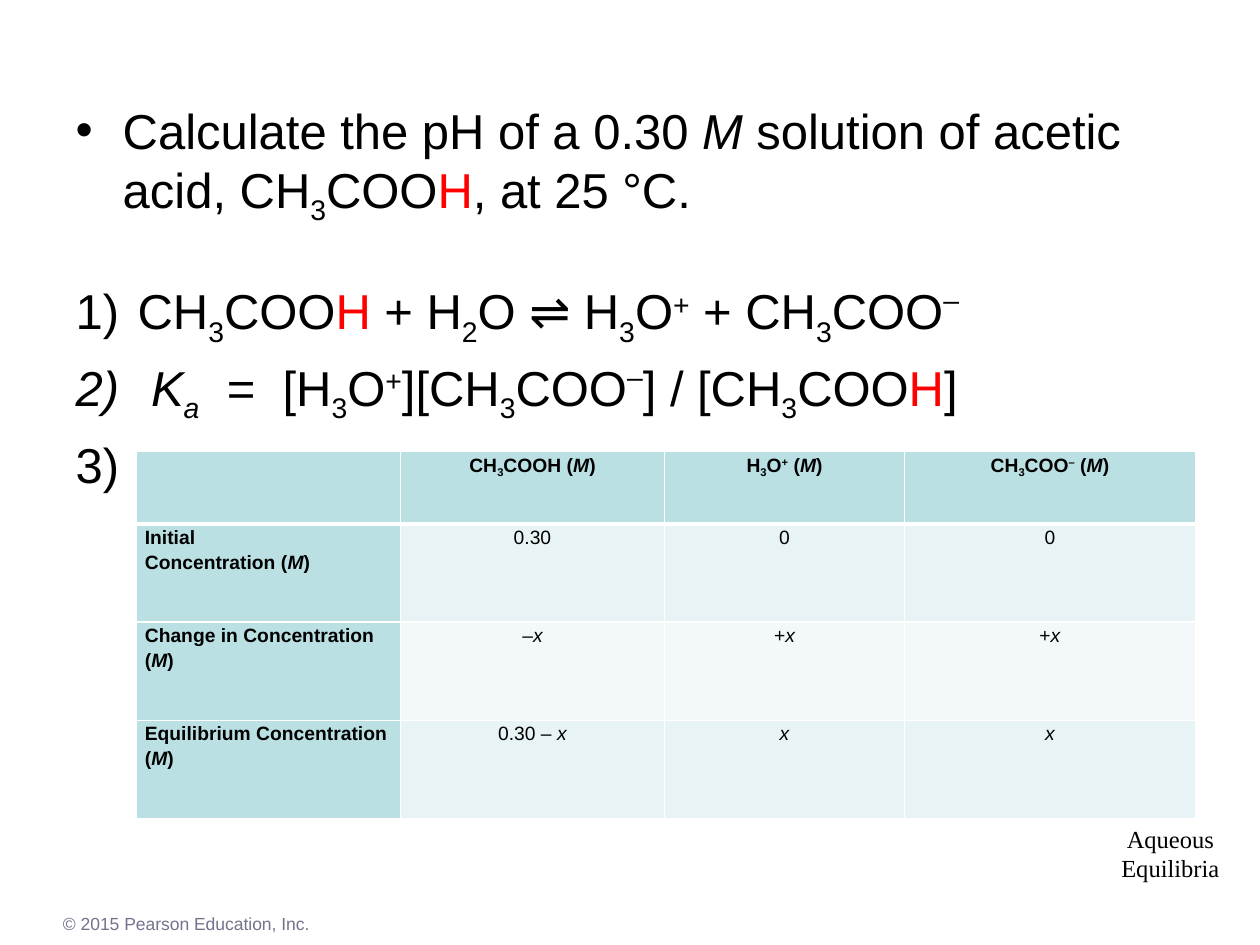
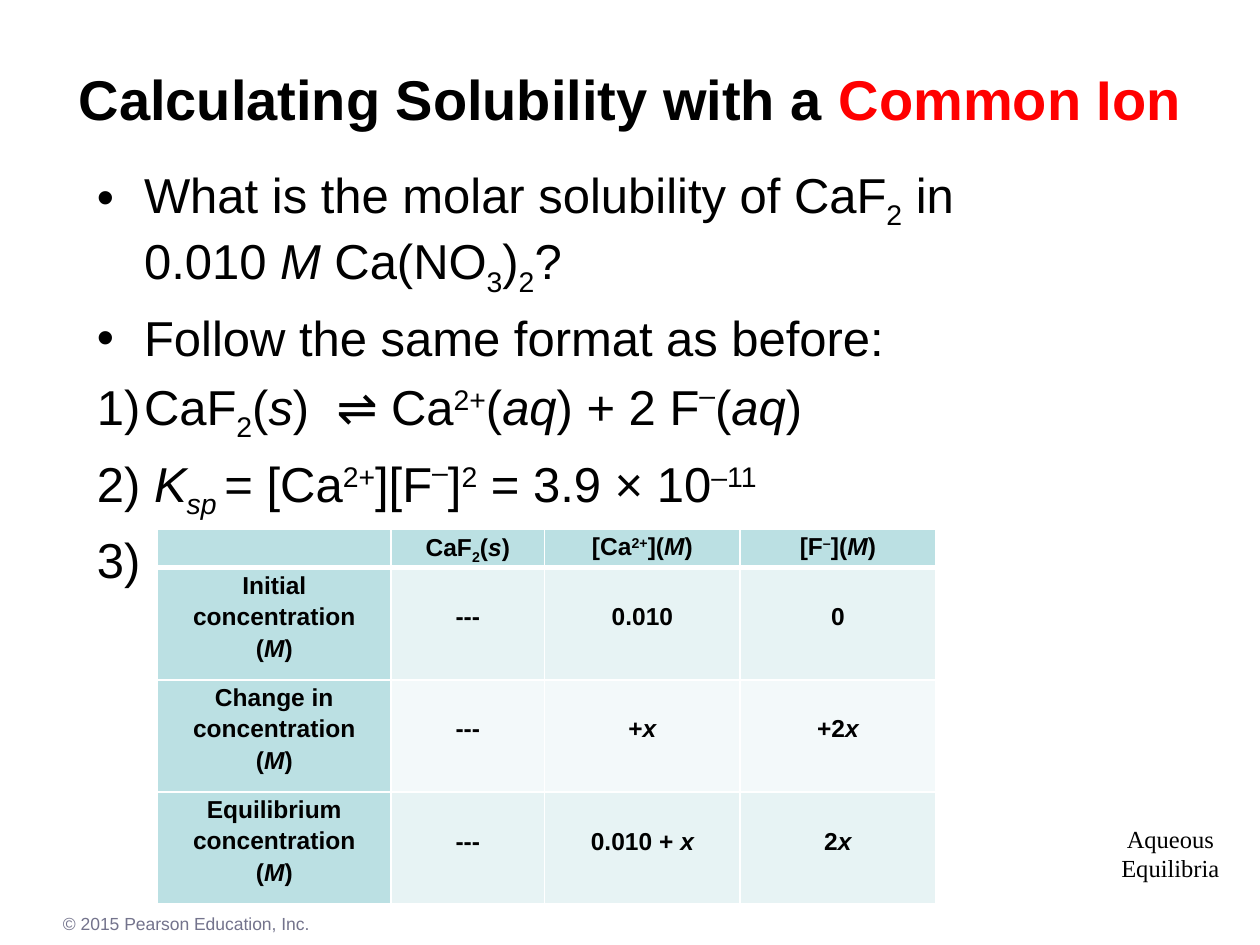
"""Build two chemistry slides on acid equilibrium and the common-ion effect."""
from dataclasses import dataclass
from typing import Optional

from lxml import etree
from pptx import Presentation
from pptx import util as u
from pptx.dml.color import RGBColor
from pptx.enum import text
from pptx.oxml.ns import qn

BLACK, RED, WHITE, GREY = "000000", "FF0000", "FFFFFF", "73738C"
HEADER, BAND, PALE = "BBE0E3", "E7F3F4", "F3F9FA"
SANS, SERIF = "Arial", "Times New Roman"
BASELINES = {"~": -25, "^": 30, "|": 40}
WIDE_SPACE = "_"
CENTER, LEFT = text.PP_ALIGN.CENTER, text.PP_ALIGN.LEFT


@dataclass(frozen=True)
class Style:
    size: float
    font: str = SANS
    color: str = BLACK
    bold: bool = False


@dataclass(frozen=True)
class Box:
    left: float
    top: float
    width: float
    height: float

    def lengths(self) -> tuple:
        return tuple(u.Cm(n) for n in (self.left, self.top, self.width, self.height))


@dataclass(frozen=True)
class Item:
    words: str
    bullet: str = ""
    indent: float = 0
    before: float = 5.6


@dataclass(frozen=True)
class Grid:
    left: float
    top: float
    columns: list
    header_height: float
    row_height: float
    label: Style
    value: Style
    label_align: text.PP_ALIGN
    value_top: float
    rows: list


@dataclass(frozen=True)
class Page:
    title: Optional[str]
    body: Box
    items: list
    grid: Grid


TITLE = Style(32, bold=True)
BODY = Style(28)
TITLE_BOX = Box(0, 0.08, 25.4, 3.81)
BULLET, NUMBER = "•", "arabicParenR"

PAGES = [
    Page(
        None,
        Box(1.27, 1.9, 21.59, 6.99),
        [
            Item("Calculate the pH of a 0.30 *M* solution of acetic acid, CH~3~COO!H!, at 25 °C.",
                 BULLET, 0.95, 0),
            Item("CH~3~COO!H !+ H~2~O ⇌ H~3~O^+^ + CH~3~COO|–|", NUMBER, 1.25, 31.2),
            Item("*K~a~*_=_[H~3~O^+^][CH~3~COO|–|] / [CH~3~COO!H!]", NUMBER, 1.52),
            Item("3)"),
        ],
        Grid(2.74, 9.09, [5.33, 5.33, 4.83, 5.87], 1.47, 1.98,
             Style(11, bold=True), Style(11), LEFT, 0, [
                 ["", "CH~3~COOH (*M*)", "H~3~O^+^ (*M*)", "CH~3~COO^–^ (*M*)"],
                 ["Initial\nConcentration (*M*)", "0.30", "0", "0"],
                 ["Change in Concentration (*M*)", "–*x*", "+*x*", "+*x*"],
                 ["Equilibrium Concentration (*M*)", "0.30 – *x*", "*x*", "*x*"],
             ]),
    ),
    Page(
        "Calculating Solubility with a !Common Ion!",
        Box(1.7, 3.18, 21.39, 12.06),
        [
            Item("What is the molar solubility of CaF~2~ in\v0.010 *M* Ca(NO~3~)~2~?",
                 BULLET, 0.95, 0),
            Item("Follow the same format as before:", BULLET, 0.95),
            Item("CaF~2~(*s*)_⇌ Ca^2+^(*aq*) + 2 F|–|(*aq*)", NUMBER, 0.95),
            Item("2) *K~sp ~*= [Ca^2+^][F|–|]^2^ = 3.9 × 10^–11^"),
            Item("3)"),
        ],
        Grid(3.18, 10.67, [4.7, 3.1, 3.94, 3.94], 0.76, 2.26,
             Style(14, bold=True), Style(14, bold=True), CENTER, 0.64, [
                 ["", "CaF~2~(*s*)", "[Ca^2+^](*M*)", "[F^–^](*M*)"],
                 ["Initial concentration\n(*M*)", "---", "0.010", "0"],
                 ["Change in concentration\n(*M*)", "---", "+*x*", "+2*x*"],
                 ["Equilibrium concentration\n(*M*)", "---", "0.010 + *x*", "2*x*"],
             ]),
    ),
]


def rgb(value: str) -> RGBColor:
    """Turn a hex string into a colour."""
    return RGBColor.from_string(value)


def add_run(paragraph, words: str, style: Style, active: set, spacing: float = 0) -> None:
    """Add one run, formatted by the marks that are active."""
    if not words:
        return
    run = paragraph.add_run()
    run.text = words
    run.font.name, run.font.size, run.font.bold = style.font, u.Pt(style.size), style.bold
    run.font.italic = "*" in active
    run.font.color.rgb = rgb(RED if "!" in active else style.color)
    properties = run.font._element
    for mark in active & set(BASELINES):
        properties.set("baseline", str(BASELINES[mark] * 1000))
    if spacing:
        properties.set("spc", str(round(spacing * 100)))


def add_marked_text(paragraph, marked: str, style: Style) -> None:
    """Add runs from text with toggles: * italic, ! red, ~ subscript, ^ and | superscript."""
    active, words = set(), ""
    for character in marked:
        if character not in {"*", "!", "\v", WIDE_SPACE, *BASELINES}:
            words += character
            continue
        add_run(paragraph, words, style, active)
        words = ""
        if character == "\v":
            paragraph.add_line_break()
        elif character == WIDE_SPACE:
            add_run(paragraph, " ", style, active, style.size * 0.28)
        else:
            active ^= {character}
    add_run(paragraph, words, style, active)


def add_paragraphs(frame, lines: list, style: Style, align: text.PP_ALIGN,
                   line_spacing: float = 1.0) -> None:
    """Fill a text frame with one paragraph a line."""
    for index, line in enumerate(lines):
        paragraph = frame.add_paragraph() if index else frame.paragraphs[0]
        paragraph.alignment, paragraph.line_spacing = align, line_spacing
        add_marked_text(paragraph, line, style)


def set_bullet(paragraph, item: Item) -> None:
    """Give a paragraph its bullet or number and hanging indent."""
    properties = paragraph._p.get_or_add_pPr()
    properties.set("marL", str(u.Cm(item.indent)))
    properties.set("indent", str(-u.Cm(item.indent)))
    if item.bullet == NUMBER:
        etree.SubElement(properties, qn("a:buAutoNum"), type=NUMBER)
    elif item.bullet:
        etree.SubElement(properties, qn("a:buChar"), char=item.bullet)
    else:
        etree.SubElement(properties, qn("a:buNone"))


def place(shape, box: Box) -> None:
    """Move a shape to a box."""
    shape.left, shape.top, shape.width, shape.height = box.lengths()


def fill_body(shape, page: Page) -> None:
    """Write the list into the body placeholder."""
    place(shape, page.body)
    frame = shape.text_frame
    frame.auto_size = text.MSO_AUTO_SIZE.NONE
    for index, item in enumerate(page.items):
        paragraph = frame.add_paragraph() if index else frame.paragraphs[0]
        set_bullet(paragraph, item)
        paragraph.space_before = u.Pt(item.before)
        add_marked_text(paragraph, item.words, BODY)


def fill_title(shape, title: Optional[str]) -> None:
    """Write the title, or remove its placeholder when there is none."""
    if title is None:
        shape._element.getparent().remove(shape._element)
        return
    place(shape, TITLE_BOX)
    shape.text_frame.auto_size = text.MSO_AUTO_SIZE.NONE
    shape.text_frame.vertical_anchor = text.MSO_ANCHOR.MIDDLE
    add_paragraphs(shape.text_frame, [title], TITLE, CENTER)


def add_label(slide, box: Box, lines: list, style: Style, align: text.PP_ALIGN,
              wrap: bool) -> None:
    """Add a text box."""
    frame = slide.shapes.add_textbox(*box.lengths()).text_frame
    frame.word_wrap = wrap
    add_paragraphs(frame, lines, style, align)


def add_footers(slide) -> None:
    """Add the chapter name and the copyright line."""
    add_label(slide, Box(22.35, 16.48, 2.49, 1.45), ["Aqueous", "Equilibria"],
              Style(14, SERIF), CENTER, False)
    add_label(slide, Box(1.02, 18.29, 22.86, 0.69), ["© 2015 Pearson Education, Inc."],
              Style(10, color=GREY), LEFT, True)


def set_borders(cell, row: int) -> None:
    """Draw white cell borders, thick below the header row."""
    widths = {"L": 1, "R": 1, "T": 3 if row == 1 else 1, "B": 3 if row == 0 else 1}
    properties = cell._tc.get_or_add_tcPr()
    for side, width in widths.items():
        line = etree.SubElement(properties, qn(f"a:ln{side}"), w=str(u.Pt(width)))
        fill = etree.SubElement(line, qn("a:solidFill"))
        etree.SubElement(fill, qn("a:srgbClr"), val=WHITE)


def add_grid(slide, grid: Grid) -> None:
    """Add the concentration table."""
    heights = [grid.header_height] + [grid.row_height] * (len(grid.rows) - 1)
    box = Box(grid.left, grid.top, sum(grid.columns), sum(heights))
    table = slide.shapes.add_table(len(heights), len(grid.columns), *box.lengths()).table
    for column, width in zip(table.columns, grid.columns):
        column.width = u.Cm(width)
    for row, height in zip(table.rows, heights):
        row.height = u.Cm(height)
    for row, values in enumerate(grid.rows):
        for column, value in enumerate(values):
            cell = table.cell(row, column)
            heading = row == 0 or column == 0
            cell.margin_left = cell.margin_right = u.Cm(0.18)
            cell.margin_top = u.Cm(0 if heading else grid.value_top)
            cell.margin_bottom = 0
            set_borders(cell, row)
            cell.fill.solid()
            cell.fill.fore_color.rgb = rgb(HEADER if heading else BAND if row % 2 else PALE)
            align = grid.label_align if column == 0 else CENTER
            add_paragraphs(cell.text_frame, value.split("\n"),
                           grid.label if heading else grid.value, align, 1.15)


def main() -> None:
    """Build and save the presentation."""
    presentation = Presentation()
    presentation.slide_width, presentation.slide_height = u.Cm(25.4), u.Cm(19.05)
    for page in PAGES:
        slide = presentation.slides.add_slide(presentation.slide_layouts[1])
        fill_body(slide.placeholders[1], page)
        fill_title(slide.shapes.title, page.title)
        add_footers(slide)
        add_grid(slide, page.grid)
    presentation.save("out.pptx")


if __name__ == "__main__":
    main()
